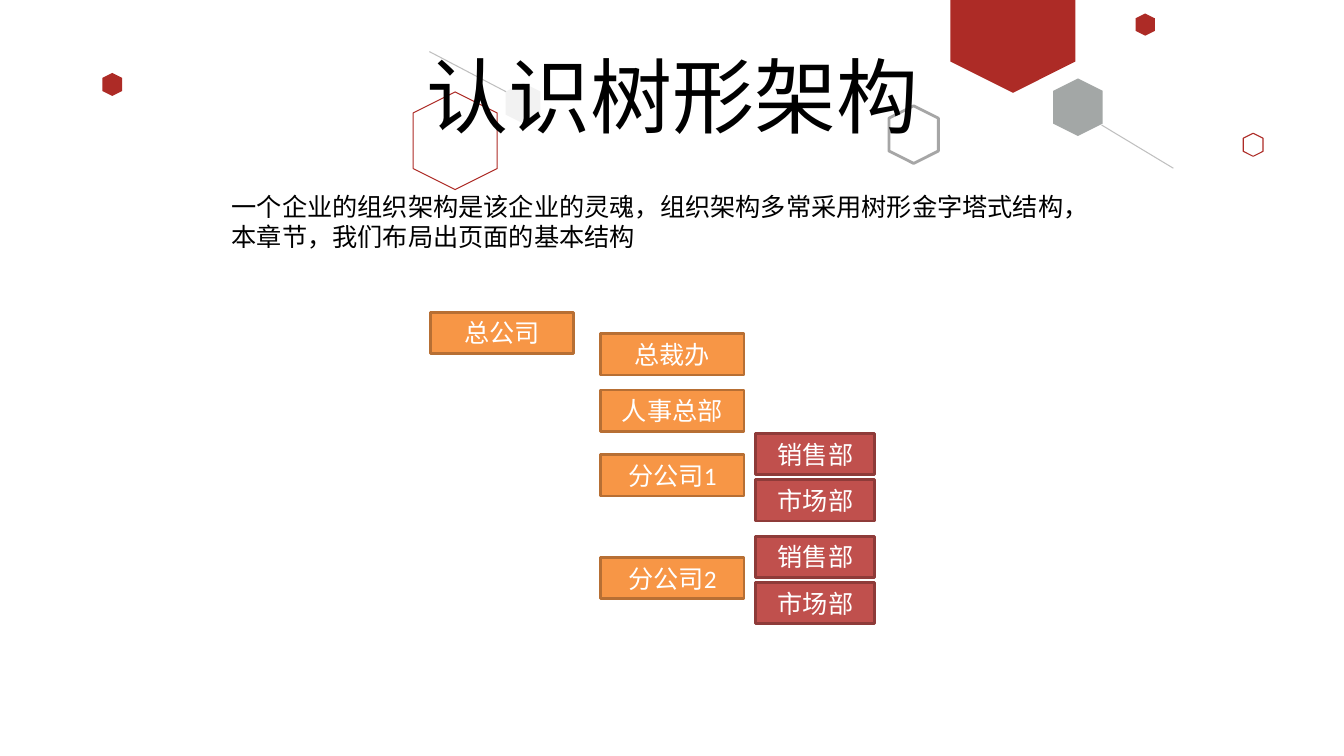
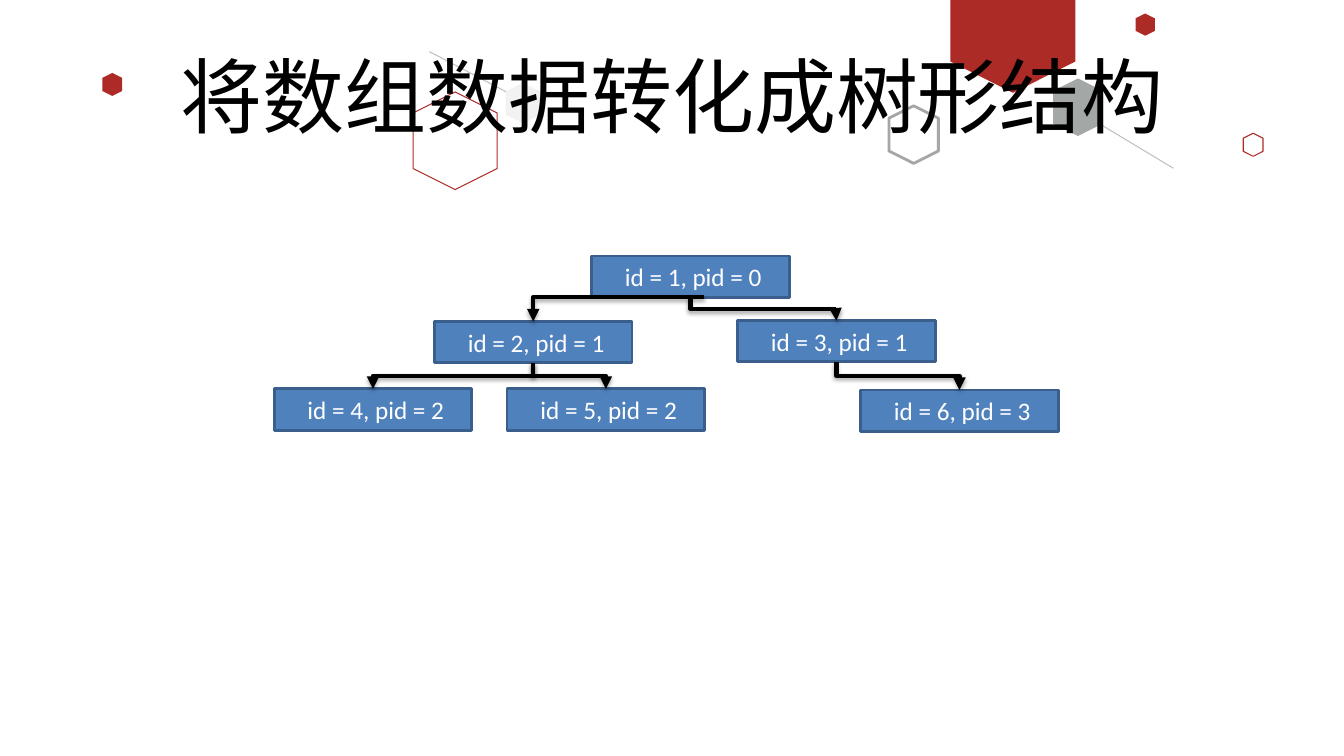
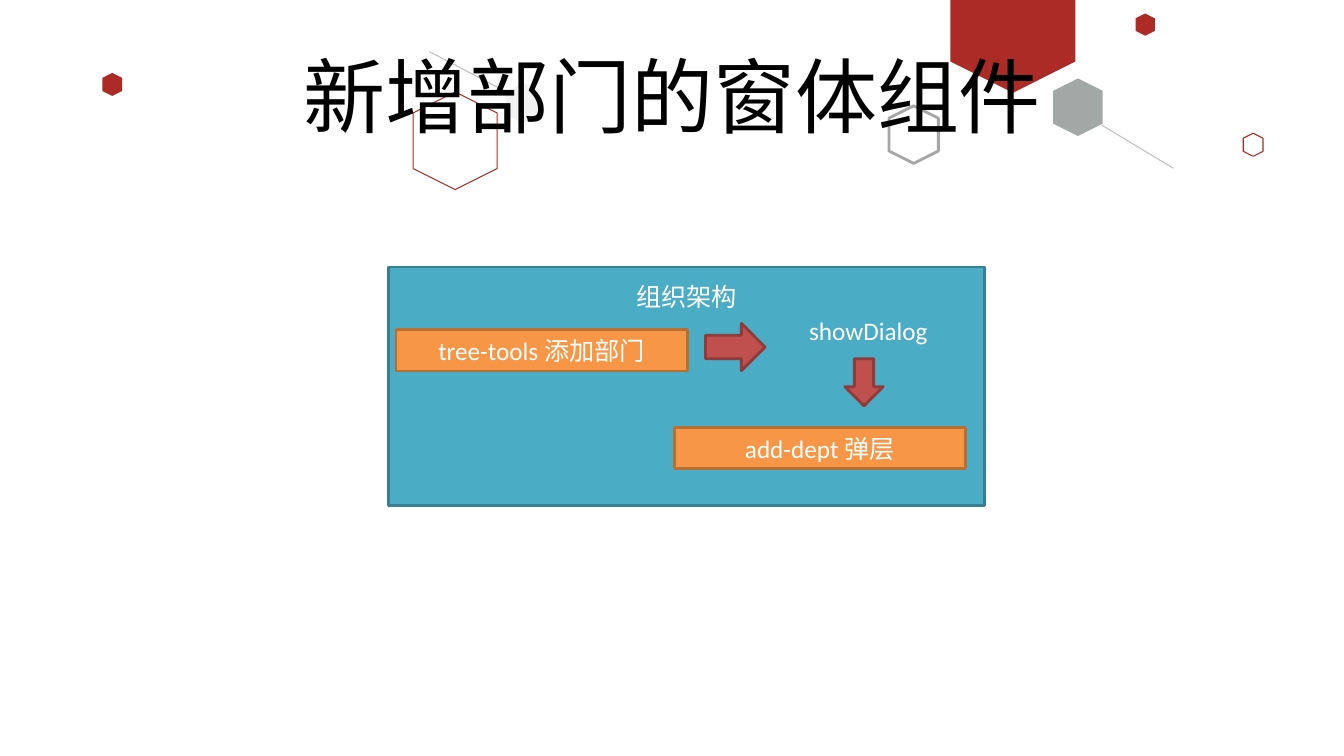
"""Build three slides about showing a company's departments as a tree."""
from dataclasses import dataclass

from lxml.etree import SubElement
from pptx import Presentation
from pptx.dml.color import RGBColor
from pptx.enum.lang import MSO_LANGUAGE_ID as Language
from pptx.enum.shapes import MSO_CONNECTOR as Connector, MSO_SHAPE as Preset
from pptx.enum.text import MSO_ANCHOR as Anchor, PP_ALIGN as Align
from pptx.oxml.ns import qn
from pptx.util import Cm, Pt


@dataclass(frozen=True)
class Theme:
    font: str = "Calibri"
    title_size: float = 58.6
    body_size: float = 18
    border: float = 2
    hairline: float = 0.75
    arrow_width: float = 3
    black: str = "000000"
    white: str = "FFFFFF"
    crimson: str = "AD2B26"
    slate: str = "49504F"
    grey: str = "A6A6A6"
    silver: str = "BFBFBF"
    mist: str = "F2F2F2"
    orange: tuple = ("F79646", "B76F34")
    red: tuple = ("C0504D", "8E3B39")
    blue: tuple = ("4F81BD", "3A5F8C")
    teal: tuple = ("4BACC6", "377F92")


THEME = Theme()
BOX_HEIGHT = 1.04


class Deck:
    def __init__(self, theme):
        self.theme = theme
        self.presentation = Presentation()
        self.presentation.slide_width = Cm(33.87)
        self.presentation.slide_height = Cm(19.05)
        self.slide = None

    def new_slide(self, title):
        layout = self.presentation.slide_layouts[6]
        self.slide = self.presentation.slides.add_slide(layout)
        self.decorate()
        self.text(title, 2.34, 1.02, 29.21, 3.68, self.theme.black,
                  self.theme.title_size, Align.CENTER)

    def decorate(self):
        theme = self.theme
        self.polygon([(23.95, -0.53), (27.1, -0.53), (27.1, 1.55),
                      (25.53, 2.34), (23.95, 1.55)], theme.crimson)
        self.hexagon(26.44, 2.08, 1.45, fill=theme.slate, opacity=50)
        self.hexagon(22.3, 2.77, 1.45, line=theme.grey, width=theme.border)
        self.hexagon(28.58, 0.38, 0.56, fill=theme.crimson)
        self.hexagon(10.24, 2.49, 2.46, line=theme.crimson)
        self.hexagon(31.29, 3.4, 0.58, line=theme.crimson)
        self.hexagon(2.54, 1.88, 0.58, fill=theme.crimson)
        self.hexagon(12.67, 2.16, 1.02, fill=theme.mist)
        self.line(27.76, 3.15, 29.57, 4.24)
        self.line(10.82, 1.3, 12.75, 2.31)

    def paint(self, shape, fill=None, line=None, width=None):
        shape.shadow.inherit = False
        if fill:
            shape.fill.solid()
            shape.fill.fore_color.rgb = RGBColor.from_string(fill)
        else:
            shape.fill.background()
        if line:
            shape.line.color.rgb = RGBColor.from_string(line)
            shape.line.width = Pt(width or self.theme.hairline)
        else:
            shape.line.fill.background()

    def set_text(self, shape, text, color, size, align):
        frame = shape.text_frame
        frame.word_wrap = True
        frame.text = text
        for paragraph in frame.paragraphs:
            paragraph.alignment = align
            for run in paragraph.runs:
                run.font.name = self.theme.font
                run.font.size = Pt(size)
                run.font.color.rgb = RGBColor.from_string(color)
                run.font.language_id = Language.SIMPLIFIED_CHINESE

    def text(self, text, left, top, width, height, color, size=None, align=Align.LEFT):
        shape = self.slide.shapes.add_textbox(Cm(left), Cm(top), Cm(width), Cm(height))
        self.set_text(shape, text, color, size or self.theme.body_size, align)

    def preset(self, kind, left, top, width, height, tone):
        shape = self.slide.shapes.add_shape(kind, Cm(left), Cm(top), Cm(width), Cm(height))
        self.paint(shape, *tone, self.theme.border)
        return shape

    def box(self, text, left, top, width, tone, height=BOX_HEIGHT):
        shape = self.preset(Preset.RECTANGLE, left, top, width, height, tone)
        self.set_text(shape, text, self.theme.white, self.theme.body_size, Align.CENTER)
        shape.text_frame.vertical_anchor = Anchor.MIDDLE
        return shape

    def hexagon(self, left, top, length, fill=None, line=None, width=None, opacity=100):
        shape = self.slide.shapes.add_shape(
            Preset.HEXAGON, Cm(left), Cm(top), Cm(length), Cm(length * 0.86))
        shape.rotation = 90
        self.paint(shape, fill, line, width)
        if opacity < 100:
            color = next(shape.element.spPr.iter(qn("a:srgbClr")))
            SubElement(color, qn("a:alpha"), val=str(opacity * 1000))

    def polygon(self, points, fill):
        start, *others = [(Cm(x), Cm(y)) for x, y in points]
        builder = self.slide.shapes.build_freeform(*start)
        builder.add_line_segments(others, close=True)
        self.paint(builder.convert_to_shape(), fill)

    def connector(self, kind, ends, color, width):
        connector = self.slide.shapes.add_connector(kind, *(Cm(value) for value in ends))
        connector.line.color.rgb = RGBColor.from_string(color)
        connector.line.width = Pt(width)
        effects = SubElement(connector.element.spPr, qn("a:effectLst"))
        return connector, effects

    def line(self, *ends):
        self.connector(Connector.STRAIGHT, ends, self.theme.silver, self.theme.hairline)

    def elbow(self, *ends):
        connector, effects = self.connector(
            Connector.ELBOW, ends, self.theme.black, self.theme.arrow_width)
        properties = connector.element.spPr
        SubElement(properties.find(qn("a:ln")), qn("a:tailEnd"), type="triangle")
        shadow = SubElement(effects, qn("a:outerShdw"), blurRad="40000",
                            dist="23000", dir="5400000", rotWithShape="0")
        color = SubElement(shadow, qn("a:srgbClr"), val=self.theme.black)
        SubElement(color, qn("a:alpha"), val="35000")
        return properties

    def corner_arrow(self, *ends):
        properties = self.elbow(*ends)
        properties.find(qn("a:prstGeom")).set("prst", "bentConnector2")

    def drop_arrow(self, x1, y1, x2, y2):
        middle_x, middle_y = (x1 + x2) / 2, (y1 + y2) / 2
        half_run, half_drop = (x2 - x1) / 2, (y2 - y1) / 2
        properties = self.elbow(middle_x - half_drop, middle_y + half_run,
                                middle_x + half_drop, middle_y - half_run)
        properties.find(qn("a:xfrm")).set("rot", "5400000")


def company_slide(deck):
    deck.new_slide("认识树形架构")
    deck.box("总公司", 10.85, 7.87, 3.61, THEME.orange)
    offices = {"总裁办": 8.41, "人事总部": 9.83, "分公司1": 11.46, "分公司2": 14.05}
    for name, top in offices.items():
        deck.box(name, 15.14, top, 3.61, THEME.orange)
    for branch in ("分公司1", "分公司2"):
        for name, offset in (("销售部", -0.54), ("市场部", 0.63)):
            deck.box(name, 19.05, offices[branch] + offset, 3, THEME.red)
    deck.text("一个企业的组织架构是该企业的灵魂，组织架构多常采用树形金字塔式结构，"
              "本章节，我们布局出页面的基本结构", 5.59, 4.7, 22.71, 1.8, THEME.black)


def tree_slide(deck):
    deck.new_slide("将数组数据转化成树形结构")
    width = 4.98
    nodes = {1: (0, 14.91, 6.45), 2: (1, 10.95, 8.1), 3: (1, 18.59, 8.08),
             4: (2, 6.91, 9.8), 5: (2, 12.78, 9.8), 6: (3, 21.69, 9.83)}
    for node, (parent, left, top) in nodes.items():
        deck.box(f" id = {node}, pid = {parent}", left, top, width, THEME.blue)
    _, left, top = nodes[2]
    deck.corner_arrow(17.75, 7.49, left + width / 2, top)
    for child in (4, 5, 3, 6):
        parent, left, top = nodes[child]
        _, parent_left, parent_top = nodes[parent]
        deck.drop_arrow(parent_left + width / 2, parent_top + BOX_HEIGHT,
                        left + width / 2, top)


def dialog_slide(deck):
    deck.new_slide("新增部门的窗体组件")
    panel = deck.box("组织架构", 9.8, 6.73, 15.01, THEME.teal, height=6.02)
    panel.text_frame.vertical_anchor = Anchor.TOP
    panel.text_frame.margin_top = Cm(0.37)
    deck.box("tree-tools 添加部门", 9.98, 8.31, 7.34, THEME.orange)
    deck.preset(Preset.RIGHT_ARROW, 17.78, 8.15, 1.5, 1.19, THEME.red)
    deck.text("showDialog", 20.14, 7.82, 3.73, 1.02, THEME.white)
    deck.preset(Preset.DOWN_ARROW, 21.29, 9.04, 0.97, 1.19, THEME.red)
    deck.box("add-dept 弹层", 16.99, 10.77, 7.34, THEME.orange)


deck = Deck(THEME)
company_slide(deck)
tree_slide(deck)
dialog_slide(deck)
deck.presentation.save("out.pptx")
